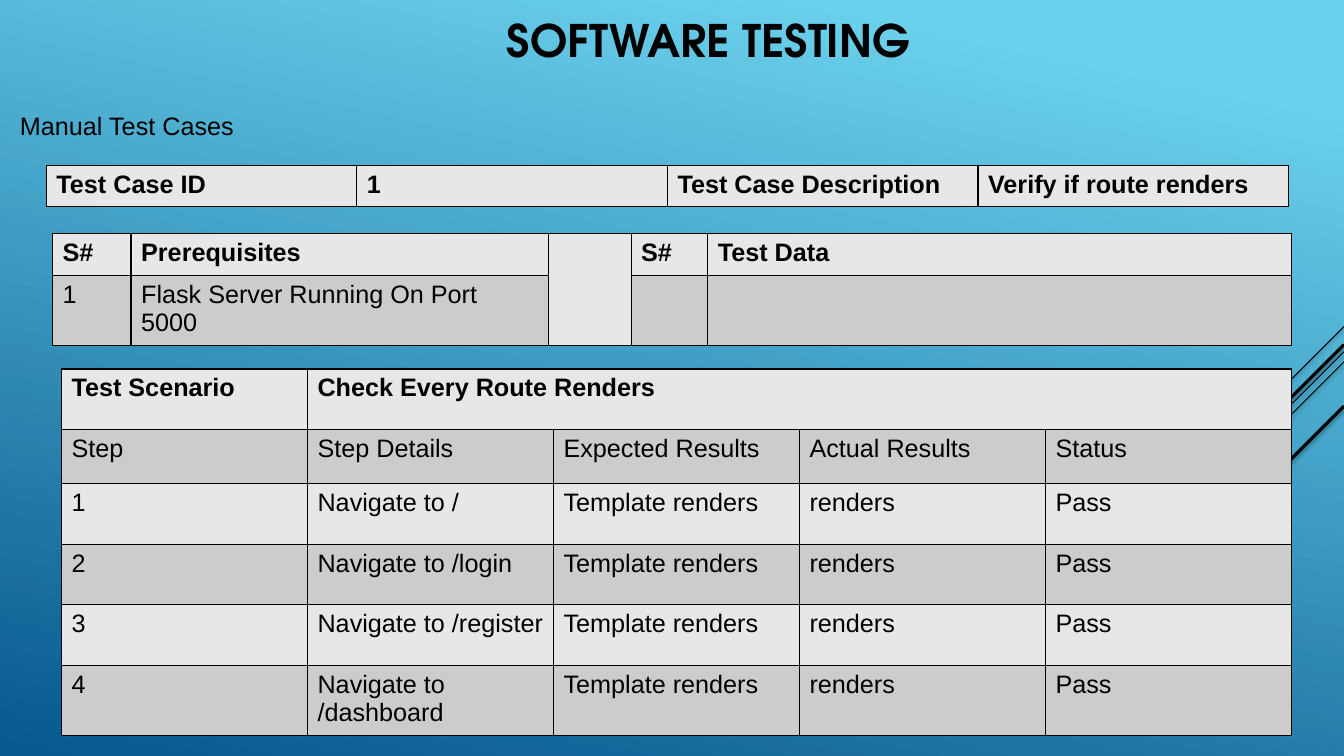
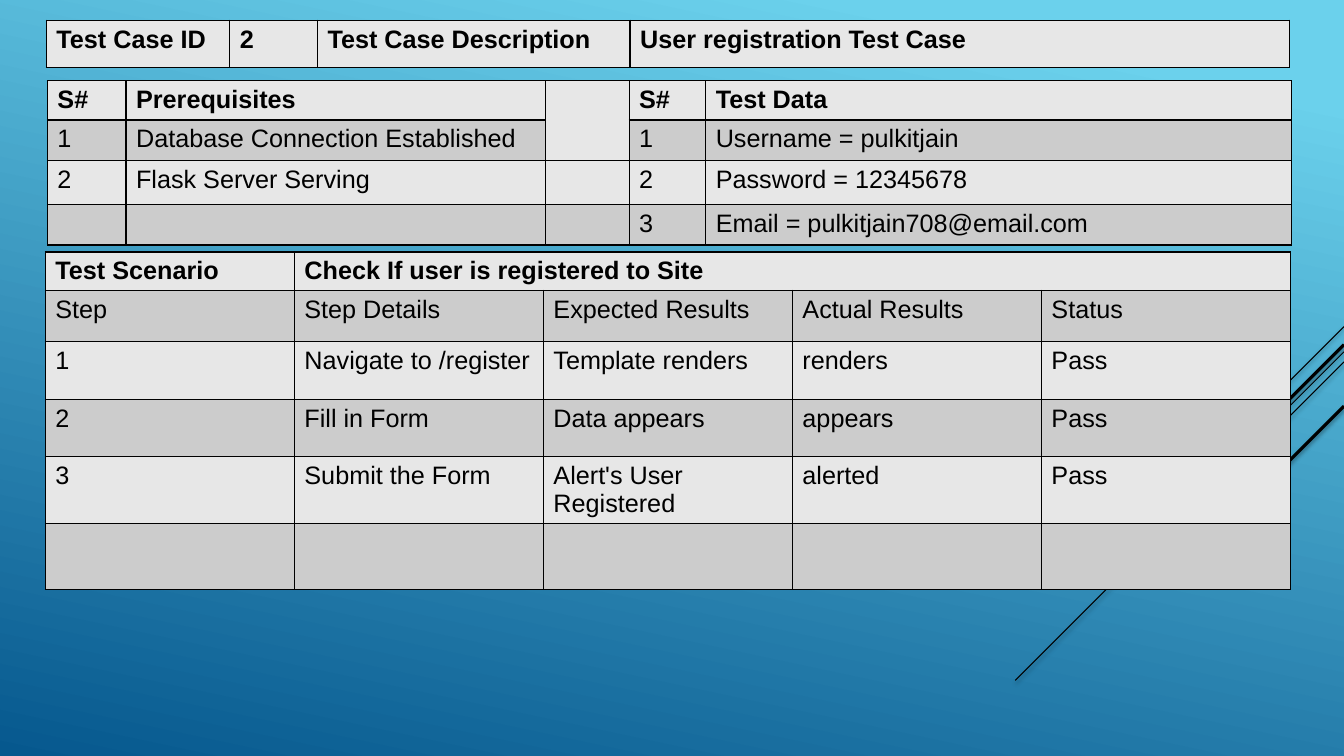
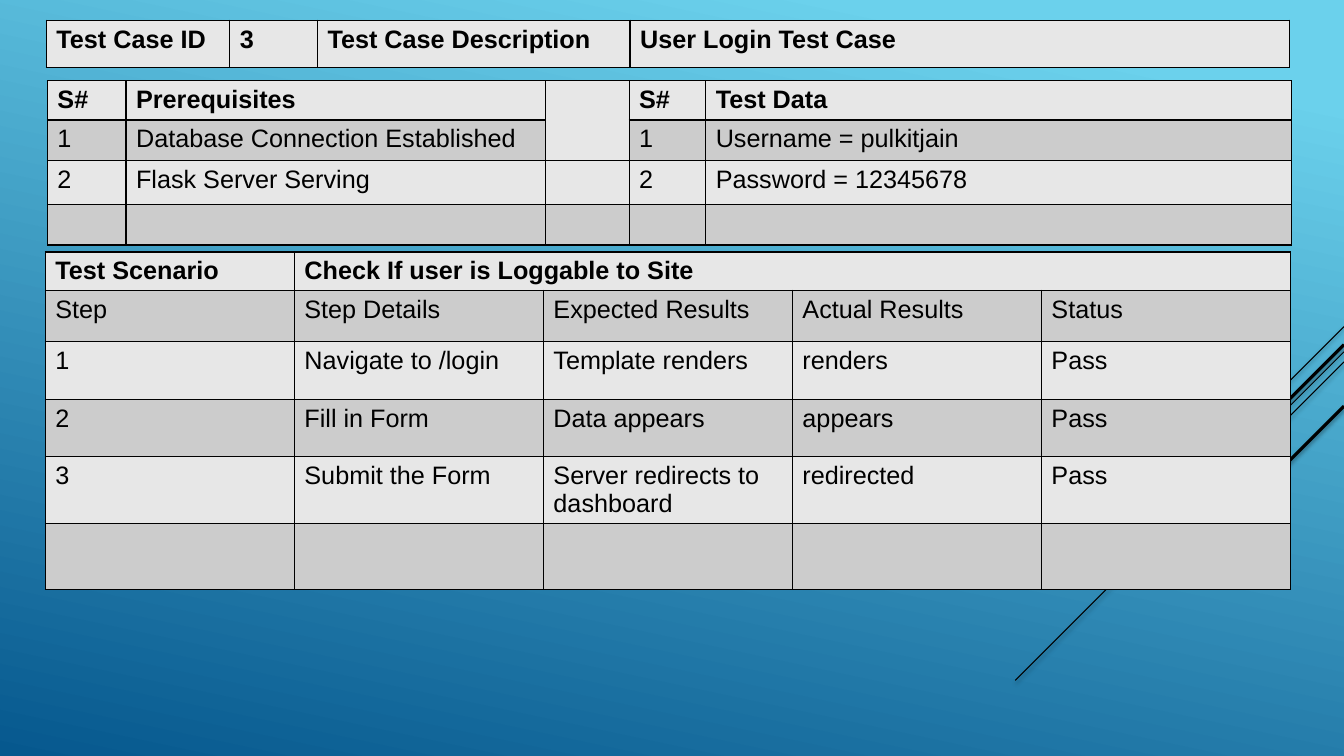
from dataclasses import dataclass

from lxml.etree import SubElement
from pptx import Presentation
from pptx.dml.color import RGBColor
from pptx.enum.shapes import MSO_CONNECTOR
from pptx.enum.text import MSO_AUTO_SIZE, PP_ALIGN
from pptx.oxml import parse_xml
from pptx.oxml.ns import nsdecls, qn
from pptx.util import Inches, Pt


# Theme: every colour, font and type size
@dataclass(frozen=True)
class Theme:
    ink: str = "000000"
    sky: str = "6BD1EC"
    sea: str = "06588E"
    bands: tuple = ("E7E7E7", "CCCCCC")
    title_font: str = "TeX Gyre Adventor"
    body_font: str = "Arial"
    title_size: int = 32
    body_size: int = 18
    border: int = 1


THEME = Theme()
SLIDE_WIDTH, SLIDE_HEIGHT = 13.33, 7.5
TITLE_ONLY, BLANK = 5, 6

# Diagonals running down from the right edge: start height, run, line width
DIAGONALS = [(3.24, 1, 0.75), (3.49, 3.26, 0.75), (3.59, 2.07, 0.75),
             (3.42, 1.91, 2.25), (4.03, 1.39, 2.25)]


# Positions and grids of the three tables of a test case
@dataclass(frozen=True)
class CaseLayout:
    id_at: tuple
    id_columns: list
    id_rows: list
    setup_at: tuple
    setup_columns: list
    setup_rows: list
    steps_at: tuple
    step_column: float
    steps_rows: list


FIRST_LAYOUT = CaseLayout(
    id_at=(0.46, 1.64), id_columns=[3.08] * 4, id_rows=[0.41],
    setup_at=(0.52, 2.32), setup_columns=[0.78, 4.14, 0.82, 0.76, 5.79],
    setup_rows=[0.41, 0.7],
    steps_at=(0.61, 3.66), step_column=2.44,
    steps_rows=[0.6, 0.54, 0.6, 0.6, 0.6, 0.7])

FULL_LAYOUT = CaseLayout(
    id_at=(0.46, 0.2), id_columns=[1.82, 0.87, 3.1, 6.54], id_rows=[0.47],
    setup_at=(0.47, 0.8), setup_columns=[0.78, 4.16, 0.83, 0.76, 5.81],
    setup_rows=[0.39, 0.39, 0.43, 0.39],
    steps_at=(0.45, 2.5), step_column=2.47,
    steps_rows=[0.38, 0.51, 0.57, 0.57, 0.66, 0.66])


# Content of a test case
@dataclass(frozen=True)
class TestCase:
    number: int
    description: str
    prerequisites: list
    test_data: list
    scenario: str
    steps: list  # details, expected result, actual result


ROUTES_CASE = TestCase(
    1, "Verify if route renders", ["Flask Server Running On Port 5000"], [],
    "Check Every Route Renders",
    [(f"Navigate to /{route}", "Template renders", "renders")
     for route in ("", "login", "register", "dashboard")])

SERVER_READY = ["Database Connection Established", "Flask Server Serving"]
CREDENTIALS = ["Username = pulkitjain", "Password = 12345678"]

REGISTRATION_CASE = TestCase(
    2, "User registration Test Case", SERVER_READY,
    CREDENTIALS + ["Email = pulkitjain708@email.com"],
    "Check If user is registered to Site",
    [("Navigate to /register", "Template renders", "renders"),
     ("Fill in Form", "Data appears", "appears"),
     ("Submit the Form", "Alert's User Registered", "alerted")])

LOGIN_CASE = TestCase(
    3, "User Login Test Case", SERVER_READY, CREDENTIALS,
    "Check If user is Loggable to Site",
    [("Navigate to /login", "Template renders", "renders"),
     ("Fill in Form", "Data appears", "appears"),
     ("Submit the Form", "Server redirects to dashboard", "redirected")])


# Text
def write_text(text_frame, text, font=THEME.body_font, size=THEME.body_size,
               bold=False, color=THEME.ink, align=PP_ALIGN.LEFT):
    paragraph = text_frame.paragraphs[0]
    paragraph.alignment = align
    run = paragraph.add_run()
    run.text = text
    run.font.name = font
    run.font.size = Pt(size)
    run.font.bold = bold
    run.font.color.rgb = RGBColor.from_string(color)


def add_title(slide, text):
    title = slide.shapes.title
    title.left, title.top = Inches(3.23), Inches(0.07)
    title.width, title.height = Inches(7.6), Inches(0.64)
    title.text_frame.auto_size = MSO_AUTO_SIZE.SHAPE_TO_FIT_TEXT
    write_text(title.text_frame, text, font=THEME.title_font,
               size=THEME.title_size, bold=True, align=PP_ALIGN.CENTER)


def add_label(slide, text, left, top, width, height):
    label = slide.shapes.add_textbox(Inches(left), Inches(top),
                                     Inches(width), Inches(height))
    label.text_frame.word_wrap = True
    label.text_frame.auto_size = MSO_AUTO_SIZE.SHAPE_TO_FIT_TEXT
    write_text(label.text_frame, text)


# Shared background and diagonals, held by the slide master
def paint_background(master):
    fill = master.background.fill
    fill.gradient()
    fill.gradient_angle = 360 - 102
    stops = zip(fill.gradient_stops, (0.1, 1), (THEME.sky, THEME.sea))
    for stop, position, color in stops:
        stop.position = position
        stop.color.rgb = RGBColor.from_string(color)


def add_shadow(connector):
    connector.element.spPr.append(parse_xml(
        f'<a:effectLst {nsdecls("a")}>'
        f'<a:outerShdw blurRad="{Pt(3.1)}" dist="{Pt(1.6)}" dir="5400000">'
        f'<a:srgbClr val="{THEME.ink}"><a:alpha val="38000"/></a:srgbClr>'
        '</a:outerShdw></a:effectLst>'))


def add_diagonals(master, slide):
    """Draw the connectors on a slide, then hand them to the master."""
    for top, run, width in DIAGONALS:
        connector = slide.shapes.add_connector(
            MSO_CONNECTOR.STRAIGHT, Inches(SLIDE_WIDTH), Inches(top),
            Inches(SLIDE_WIDTH - run), Inches(top + run))
        connector.line.color.rgb = RGBColor.from_string(THEME.ink)
        connector.line.width = Pt(width)
        add_shadow(connector)
        master.shapes.element.append(connector.element)


# Tables
def add_borders(cell):
    properties = cell._tc.get_or_add_tcPr()
    for side in ("a:lnL", "a:lnR", "a:lnT", "a:lnB"):
        line = SubElement(properties, qn(side), w=str(Pt(THEME.border)))
        fill = SubElement(line, qn("a:solidFill"))
        SubElement(fill, qn("a:srgbClr"), val=THEME.ink)


def add_banded_table(slide, position, columns, rows, content, merge=None):
    """Fill a grid whose first row is bold; content may be shorter than it."""
    left, top = position
    table = slide.shapes.add_table(
        len(rows), len(columns), Inches(left), Inches(top),
        Inches(sum(columns)), Inches(sum(rows))).table
    table.first_row = table.horz_banding = False
    for column, width in zip(table.columns, columns):
        column.width = Inches(width)
    for index, (row, height) in enumerate(zip(table.rows, rows)):
        row.height = Inches(height)
        texts = content[index] if index < len(content) else []
        for cell in row.cells:
            add_borders(cell)
            cell.fill.solid()
            cell.fill.fore_color.rgb = RGBColor.from_string(
                THEME.bands[index % 2])
        for cell, text in zip(row.cells, texts):
            if text:
                write_text(cell.text_frame, text, bold=index == 0)
    if merge:
        first, last = merge
        table.cell(*first).merge(table.cell(*last))


def numbered(items, index):
    return [str(index + 1), items[index]] if index < len(items) else ["", ""]


def add_test_case(slide, layout, case):
    # Identification
    add_banded_table(
        slide, layout.id_at, layout.id_columns, layout.id_rows,
        [["Test Case ID", str(case.number),
          "Test Case Description", case.description]])

    # Prerequisites beside test data
    setup = [["S#", "Prerequisites", "", "S#", "Test Data"]]
    for index in range(len(layout.setup_rows) - 1):
        setup.append(numbered(case.prerequisites, index) + [""]
                     + numbered(case.test_data, index))
    add_banded_table(slide, layout.setup_at, layout.setup_columns,
                     layout.setup_rows, setup, merge=((0, 2), (1, 2)))

    # Scenario steps
    steps = [["Test Scenario", case.scenario],
             ["Step", "Step Details", "Expected Results", "Actual Results",
              "Status"]]
    for number, step in enumerate(case.steps, start=1):
        steps.append([str(number), *step, "Pass"])
    add_banded_table(slide, layout.steps_at, [layout.step_column] * 5,
                     layout.steps_rows, steps, merge=((0, 1), (0, 4)))


def main():
    presentation = Presentation()
    presentation.slide_width = Inches(SLIDE_WIDTH)
    presentation.slide_height = Inches(SLIDE_HEIGHT)
    layouts = presentation.slide_layouts
    master = presentation.slide_master
    paint_background(master)

    # Opening slide
    opening = presentation.slides.add_slide(layouts[TITLE_ONLY])
    add_diagonals(master, opening)
    add_title(opening, "SOFTWARE TESTING")
    add_label(opening, "Manual Test Cases", 0.1, 1.05, 3, 0.4)
    add_test_case(opening, FIRST_LAYOUT, ROUTES_CASE)

    # One slide for each further case
    for case in (REGISTRATION_CASE, LOGIN_CASE):
        slide = presentation.slides.add_slide(layouts[BLANK])
        add_test_case(slide, FULL_LAYOUT, case)

    presentation.save("out.pptx")


if __name__ == "__main__":
    main()
